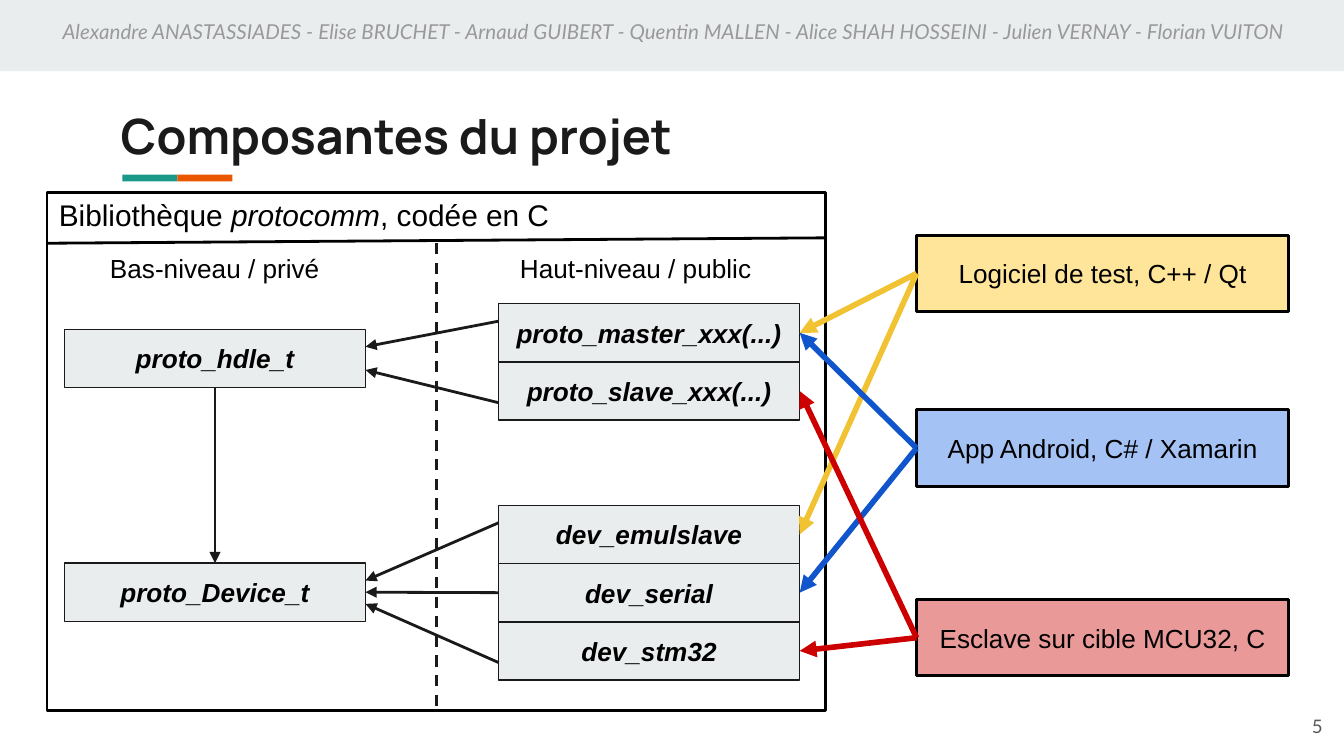
from pptx import Presentation
from pptx.dml.color import RGBColor
from pptx.enum import dml, shapes, text
from pptx.oxml.ns import qn
from pptx.util import Inches, Pt
from lxml import etree

THEME = {
    "band": "E9EDEE", "ink": "1A1A1A", "black": "000000",
    "teal": "1A9988", "orange": "EB5600",
    "thin": 0.75, "medium": 1.5, "thick": 3,
}
STYLES = {
    "title": dict(name="Manrope", size=26, bold=True, color=THEME["ink"]),
    "heading": dict(name="Arial", size=16, color=THEME["black"]),
    "label": dict(name="Arial", size=14, color=THEME["black"]),
    "code": dict(name="Arial", size=14, bold=True, italic=True, color=THEME["black"]),
    "authors": dict(name="Lato", size=11, italic=True, color="999999"),
    "number": dict(name="Lato", size=10, color="595959"),
}
LEFT, CENTER, RIGHT = text.PP_ALIGN.LEFT, text.PP_ALIGN.CENTER, text.PP_ALIGN.RIGHT
TOP, MIDDLE = text.MSO_ANCHOR.TOP, text.MSO_ANCHOR.MIDDLE

AUTHORS = ["Alexandre ANASTASSIADES", "Elise BRUCHET", "Arnaud GUIBERT", "Quentin MALLEN",
           "Alice SHAH HOSSEINI", "Julien VERNAY", "Florian VUITON"]
# (runs, style, box, alignment, anchor); a run is (words, italic or None for the style's own)
CAPTIONS = [
    ([("Composantes du projet", None)], "title", (0.8, 0.69, 8.41, 0.59), LEFT, TOP),
    ([("Bibliothèque ", None), ("protocomm", True), (", codée en C", None)],
     "heading", (0.34, 1.36, 4.14, 0.35), LEFT, TOP),
    ([("Bas-niveau / privé", None)], "label", (0.72, 1.78, 1.77, 0.35), LEFT, TOP),
    ([("Haut-niveau / public", None)], "label", (3.77, 1.78, 1.99, 0.35), LEFT, TOP),
    ([("5", None)], "number", (9.34, 5.19, 0.6, 0.43), RIGHT, MIDDLE),
    ([(" - ".join(AUTHORS), None)], "authors", (0.08, 0.05, 9.87, 0.39), CENTER, TOP),
]
# (left, top, names stacked downwards)
MODULE_STACKS = [
    (0.48, 2.45, ["proto_hdle_t"]),
    (0.48, 4.19, ["proto_Device_t"]),
    (3.71, 2.26, ["proto_master_xxx(...)", "proto_slave_xxx(...)"]),
    (3.71, 3.76, ["dev_emulslave", "dev_serial", "dev_stm32"]),
]
# (public module, private module, height fraction where the arrow leaves and lands)
DEPENDENCIES = [
    ("proto_master_xxx(...)", "proto_hdle_t", 0.3),
    ("proto_slave_xxx(...)", "proto_hdle_t", 0.7),
    ("dev_stm32", "proto_Device_t", 0.7),
    ("dev_emulslave", "proto_Device_t", 0.3),
    ("dev_serial", "proto_Device_t", 0.5),
]
# (words, top, fill, arrow colour, modules used)
CLIENTS = [
    ("Logiciel de test, C++ / Qt", 1.75, "FFE599", "F1C232",
     ["proto_master_xxx(...)", "dev_emulslave"]),
    ("App Android, C# / Xamarin", 3.05, "A4C2F4", "1155CC",
     ["proto_master_xxx(...)", "dev_serial"]),
    ("Esclave sur cible MCU32, C", 4.46, "EA9999", "CC0000",
     ["proto_slave_xxx(...)", "dev_stm32"]),
]
LIBRARY = (0.35, 1.43, 5.79, 3.86)
MODULE_W, MODULE_H = 2.24, 1.3 / 3
CLIENT_X, CLIENT_W, CLIENT_H = 6.82, 2.77, 0.57
ACCENT_X, ACCENT_W = 0.91, 0.41

prs = Presentation()
prs.slide_width = Inches(10)
prs.slide_height = prs.slide_width * 9 // 16
slide = prs.slides.add_slide(prs.slide_layouts[6])


def write(shape, runs, style, align=CENTER, anchor=MIDDLE):
    frame = shape.text_frame
    margins = {f"margin_{side}": Inches(0.1) for side in ("left", "right", "top", "bottom")}
    for key, value in {"word_wrap": True, "vertical_anchor": anchor, **margins}.items():
        setattr(frame, key, value)
    paragraph = frame.paragraphs[0]
    paragraph.alignment = align
    for words, italic in runs:
        run = paragraph.add_run()
        run.text = words
        for key, value in STYLES[style].items():
            if key == "color":
                run.font.color.rgb = RGBColor.from_string(value)
            else:
                setattr(run.font, key, Pt(value) if key == "size" else value)
        if italic is not None:
            run.font.italic = italic


def add_rect(box, fill=None, line=None, width=THEME["medium"]):
    rect = slide.shapes.add_shape(shapes.MSO_SHAPE.RECTANGLE, *map(Inches, box))
    rect.shadow.inherit = False
    if fill:
        rect.fill.solid()
        rect.fill.fore_color.rgb = RGBColor.from_string(fill)
    else:
        rect.fill.background()
    if line:
        rect.line.color.rgb = RGBColor.from_string(line)
        rect.line.width = Pt(width)
    else:
        rect.line.fill.background()
    return rect


def add_line(start, end, color=THEME["ink"], width=THEME["medium"], arrow=True):
    line = slide.shapes.add_connector(shapes.MSO_CONNECTOR.STRAIGHT, *map(Inches, start + end))
    line.line.color.rgb = RGBColor.from_string(color)
    line.line.width = Pt(width)
    if arrow:
        etree.SubElement(line.line._get_or_add_ln(), qn("a:tailEnd"), type="triangle")
    etree.SubElement(line._element.spPr, qn("a:effectLst"))
    return line


add_rect((0, 0, 10, 0.53), THEME["band"])
for i, color in enumerate((THEME["teal"], THEME["orange"])):
    add_rect((ACCENT_X + i * ACCENT_W, 1.3, ACCENT_W, 0.05), color)

library_x, library_y, library_w, library_h = LIBRARY
library_right, library_bottom = library_x + library_w, library_y + library_h
add_rect(LIBRARY, line=THEME["black"])

corners = {}
for left, top, names in MODULE_STACKS:
    for row, name in enumerate(names):
        corners[name] = left, top + row * MODULE_H
        module = add_rect((*corners[name], MODULE_W, MODULE_H),
                          THEME["band"], THEME["ink"], THEME["thin"])
        write(module, [(name, None)], "code")

for public, private, fraction in DEPENDENCIES:
    (from_x, from_y), (to_x, to_y) = corners[public], corners[private]
    add_line((from_x, from_y + fraction * MODULE_H),
             (to_x + MODULE_W, to_y + fraction * MODULE_H))
handle_x, handle_y = corners["proto_hdle_t"]
middle = handle_x + MODULE_W / 2
add_line((middle, handle_y + MODULE_H), (middle, corners["proto_Device_t"][1]))

add_line((library_right, 1.77), (library_x, 1.81), THEME["black"], arrow=False)
divider_x = library_x + library_w / 2
divider = add_line((divider_x, 1.81), (divider_x, library_bottom), arrow=False)
divider.line.dash_style = dml.MSO_LINE.DASH

for words, top, fill, _, _ in CLIENTS:
    client = add_rect((CLIENT_X, top, CLIENT_W, CLIENT_H), fill, THEME["black"])
    write(client, [(words, None)], "label")
for _, top, _, color, used in CLIENTS:
    for name in used:
        x, y = corners[name]
        add_line((CLIENT_X, top + CLIENT_H / 2), (x + MODULE_W, y + MODULE_H / 2),
                 color, THEME["thick"])

for runs, style, box, align, anchor in CAPTIONS:
    write(slide.shapes.add_textbox(*map(Inches, box)), runs, style, align, anchor)

prs.save("out.pptx")
